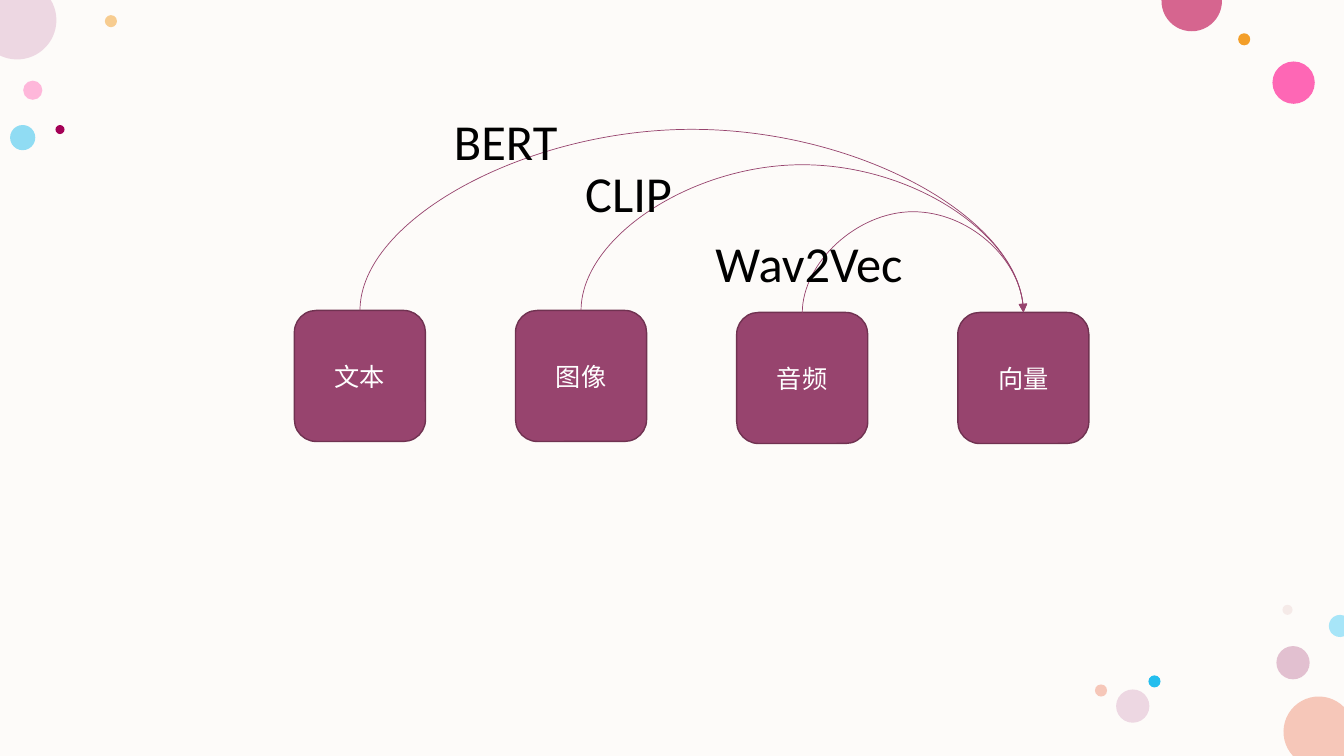
from math import cos, radians, sin, tan

from lxml.etree import SubElement
from pptx import Presentation
from pptx.dml.color import RGBColor
from pptx.enum.shapes import MSO_CONNECTOR, MSO_SHAPE
from pptx.enum.text import MSO_ANCHOR, PP_ALIGN
from pptx.oxml.ns import qn
from pptx.util import Inches, Pt

WIDTH, HEIGHT = 13.33, 7.5
FONT = "Calibri"
COLORS = {
    "background": "FDFBF9", "box": "97446E", "outline": "703251",
    "white": "FFFFFF", "black": "000000", "pink": "FF75BD", "hot pink": "FF2F9C",
    "orange": "F39E29", "mauve": "C987A8", "blue": "24BEEE", "pale blue": "A7E5F8",
    "dusty": "E3BEBE", "lilac": "EDD7E2", "peach": "F6C7B9", "rose": "D6658F",
    "wine": "A40056",
}
# left, top, diameter, colour, opacity in percent
DOTS = [
    (0.23, 0.8, 0.19, "pink", 50), (1.04, 0.15, 0.12, "orange", 50),
    (12.66, 6.41, 0.33, "mauve", 50), (0.1, 1.24, 0.25, "blue", 50),
    (12.62, 0.61, 0.42, "hot pink", 72), (12.28, 0.33, 0.12, "orange", 100),
    (12.72, 6, 0.1, "dusty", 28), (11.39, 6.7, 0.12, "blue", 100),
    (11.07, 6.84, 0.33, "lilac", 100), (10.86, 6.79, 0.12, "peach", 100),
    (0.55, 1.24, 0.09, "wine", 100),
]
# centre x, centre y, radius, first and last angle, slide corners, colour
EDGE_DOTS = [
    (13.08, 7.26, 0.35, 136.7, 315.6, [(WIDTH, HEIGHT)], "peach"),
    (0.17, 0.2, 0.39, -30.9, 115.8, [(0, 0)], "lilac"),
    (11.82, 0.01, 0.3, -1.9, 181.9, [], "rose"),
    (13.29, 6.21, 0.11, 68.7, 291.3, [], "pale blue"),
]
BOX_LEFT, LAST_BOX_LEFT, BOX_SIZE = 2.92, 9.5, 1.3
BOXES = [("文本", 3.08), ("图像", 3.08), ("音频", 3.1), ("向量", 3.1)]
# label, left, top, width, top of the arc
ENCODERS = [
    ("BERT", 4.22, 1.04, 1.59, 1.29),
    ("CLIP", 5.61, 1.56, 1.25, 1.64),
    ("Wav2Vec", 6.86, 2.25, 2.33, 2.08),
]


def rgb(name):
    """Return the named colour."""
    return RGBColor.from_string(COLORS[name])


def paint(shape, color, opacity=100):
    """Give a shape a flat fill without line or shadow."""
    shape.shadow.inherit = False
    shape.line.fill.background()
    shape.fill.solid()
    shape.fill.fore_color.rgb = rgb(color)
    if opacity < 100:
        fill = shape.fill._xPr.find(qn("a:solidFill"))
        SubElement(fill[0], qn("a:alpha"), val=str(opacity * 1000))


def write(shape, text, size, color):
    """Add one centred run of text."""
    paragraph = shape.text_frame.paragraphs[0]
    paragraph.alignment = PP_ALIGN.CENTER
    run = paragraph.add_run()
    run.text = text
    run.font.name = FONT
    run.font.size = Pt(size)
    run.font.color.rgb = rgb(color)


def add_edge_dot(slide, x, y, radius, first, last, corners, color, parts=3):
    """Draw a circle cut off at the slide edge, its arc as Bezier curves."""
    step = radians(last - first) / parts
    reach = 4 / 3 * tan(step / 4)
    points = [(cos(radians(first)), sin(radians(first)))]
    for part in range(parts):
        start = radians(first) + part * step
        end = start + step
        points += [
            (cos(start) - reach * sin(start), sin(start) + reach * cos(start)),
            (cos(end) + reach * sin(end), sin(end) - reach * cos(end)),
            (cos(end), sin(end)),
        ]
    outline = [(x + radius * across, y + radius * down) for across, down in points]
    outline = [
        (Inches(min(max(across, 0), WIDTH)), Inches(min(max(down, 0), HEIGHT)))
        for across, down in outline + corners
    ]
    builder = slide.shapes.build_freeform(*outline[0])
    builder.add_line_segments(outline[1:])
    shape = builder.convert_to_shape()
    lines = list(shape._element.iter(qn("a:lnTo")))
    for part in range(parts):
        curve, *rest = lines[3 * part:3 * part + 3]
        curve.tag = qn("a:cubicBezTo")
        for line in rest:
            curve.append(line[0])
            line.getparent().remove(line)
    paint(shape, color)


def add_box(slide, index, text, top):
    """Draw one rounded box of the row."""
    pitch = (LAST_BOX_LEFT - BOX_LEFT) / (len(BOXES) - 1)
    box = slide.shapes.add_shape(
        MSO_SHAPE.ROUNDED_RECTANGLE, Inches(BOX_LEFT + index * pitch),
        Inches(top), Inches(BOX_SIZE), Inches(BOX_SIZE))
    paint(box, "box")
    box.line.color.rgb = rgb("outline")
    box.line.width = Pt(1)
    box.text_frame.vertical_anchor = MSO_ANCHOR.MIDDLE
    write(box, text, 18, "white")
    return box


def add_arc(slide, source, target, peak):
    """Join the tops of two boxes with a curved arrow that rises to the peak."""
    level = source.top == target.top
    drop = Inches(0.01) if level else target.top - source.top
    span = target.left - source.left
    arc = slide.shapes.add_connector(MSO_CONNECTOR.CURVE, 0, 0, span, drop)
    arc.begin_connect(source, 0)
    arc.end_connect(target, 0)
    arc.left = source.left + source.width // 2 + (span - drop) // 2
    arc.top = (source.top + target.top - span) // 2
    arc.width, arc.height = drop, span
    arc.line.color.rgb = rgb("box")
    arc.line.width = Pt(0.5)
    properties = arc._element.spPr
    frame = properties.find(qn("a:xfrm"))
    frame.set("rot", str((90 if level else 270) * 60000))
    frame.set("flipH", "1")
    frame.set("flipV", "1" if level else "0")
    rise = round((source.top - peak) / drop * 100000) * (1 if level else -1)
    adjustments = properties.find(qn("a:prstGeom")).get_or_add_avLst()
    SubElement(adjustments, qn("a:gd"), name="adj1", fmla=f"val {rise}")
    SubElement(properties.find(qn("a:ln")), qn("a:tailEnd"), type="triangle")
    SubElement(properties, qn("a:effectLst"))


def main():
    """Build the slide and save it."""
    presentation = Presentation()
    presentation.slide_width = Inches(WIDTH)
    presentation.slide_height = Inches(HEIGHT)
    slide = presentation.slides.add_slide(presentation.slide_layouts[6])
    backdrop = slide.shapes.add_shape(
        MSO_SHAPE.RECTANGLE, 0, 0, Inches(WIDTH), Inches(HEIGHT))
    paint(backdrop, "background")

    for left, top, size, color, opacity in DOTS:
        dot = slide.shapes.add_shape(
            MSO_SHAPE.OVAL, Inches(left), Inches(top), Inches(size), Inches(size))
        paint(dot, color, opacity)
    for edge_dot in EDGE_DOTS:
        add_edge_dot(slide, *edge_dot)

    *sources, target = [
        add_box(slide, index, *box) for index, box in enumerate(BOXES)]
    for source, encoder in zip(sources, ENCODERS):
        add_arc(slide, source, target, Inches(encoder[-1]))
    for text, left, top, width, _ in ENCODERS:
        label = slide.shapes.add_textbox(
            Inches(left), Inches(top), Inches(width), Inches(0.71))
        label.text_frame.word_wrap = True
        write(label, text, 36, "black")

    presentation.save("out.pptx")


if __name__ == "__main__":
    main()
